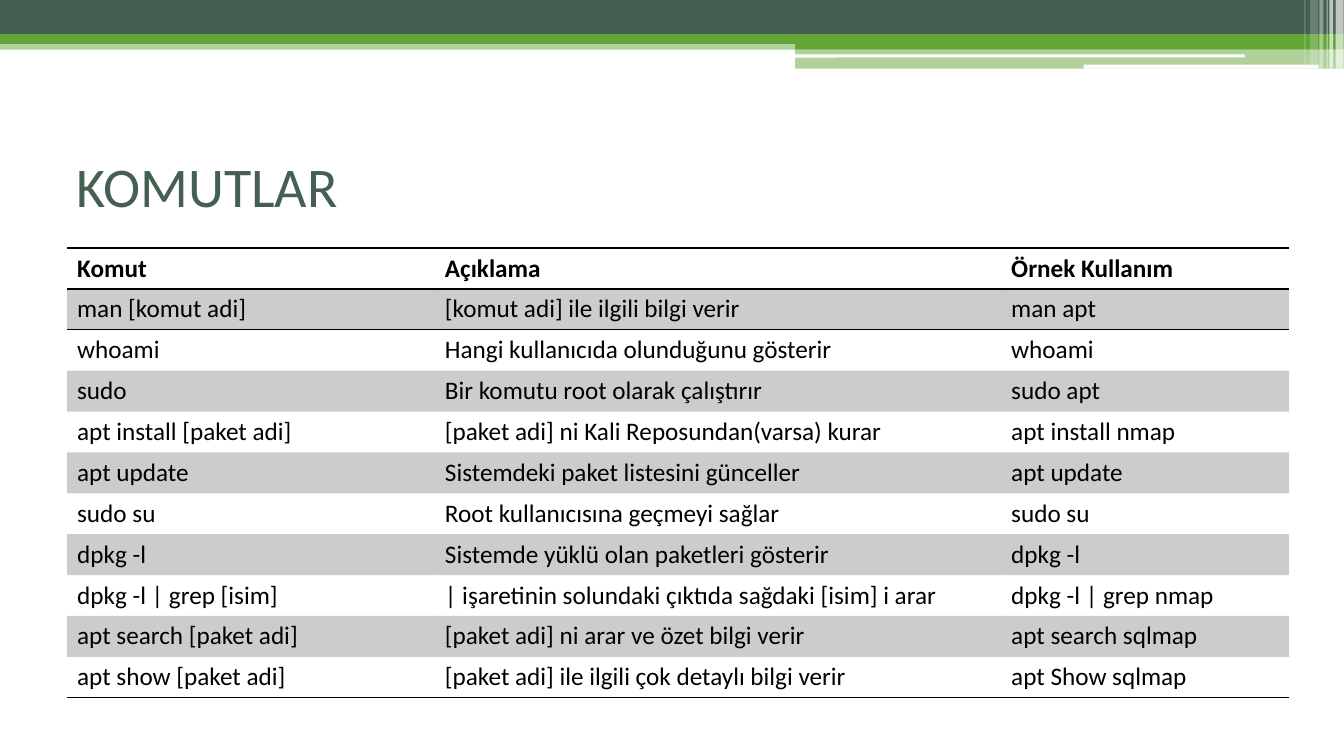
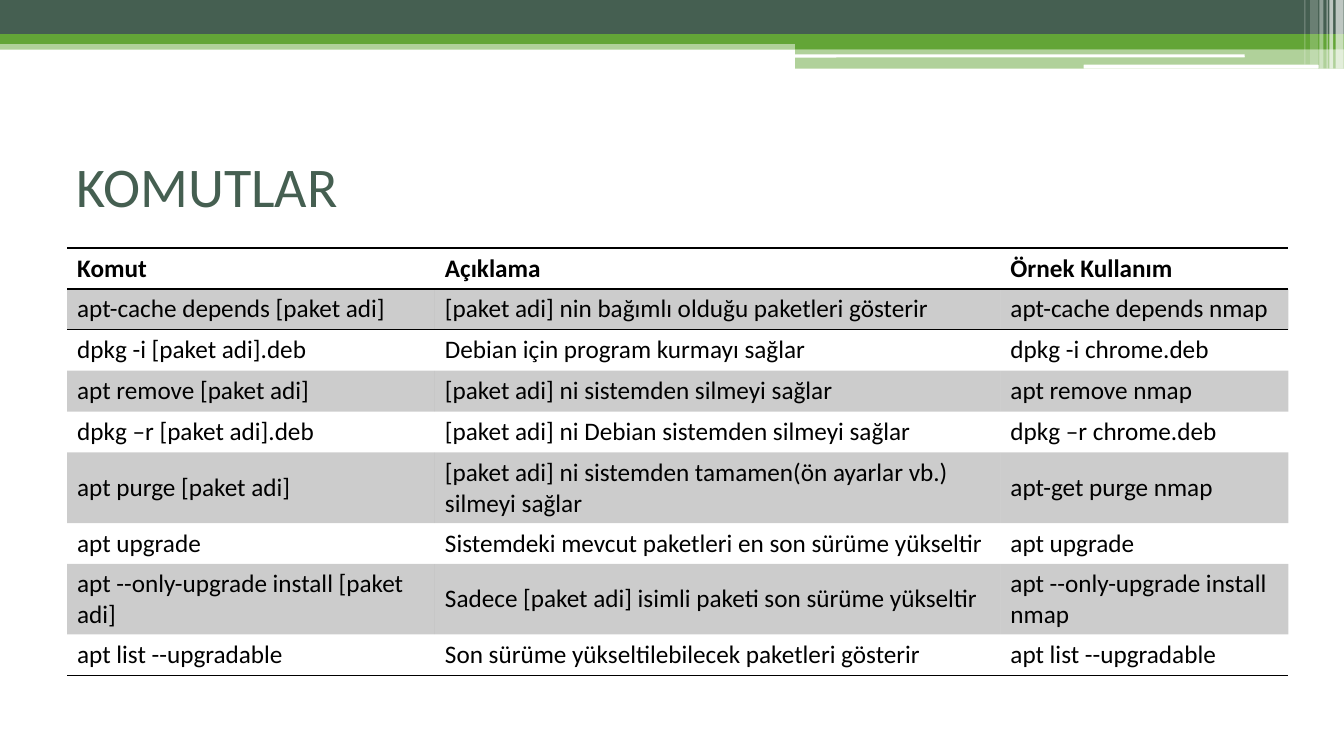
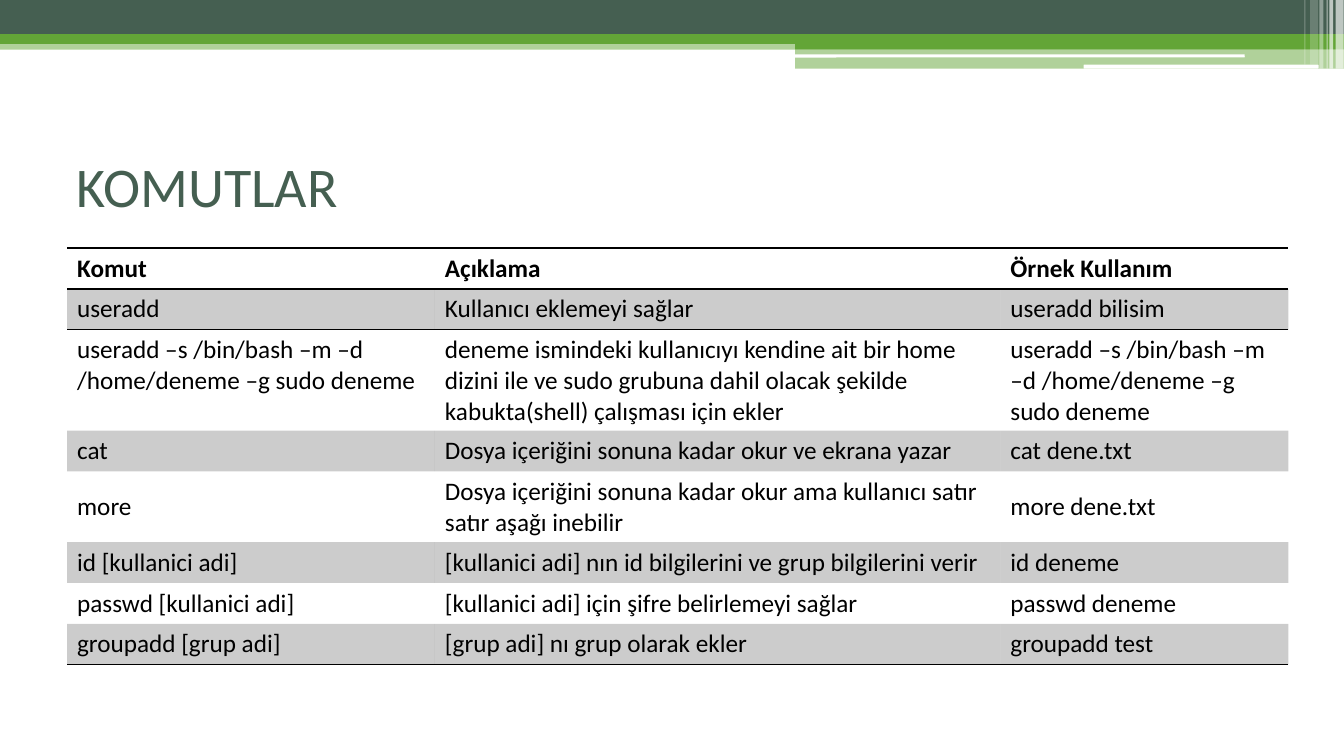
from dataclasses import dataclass
from typing import Any

from lxml import etree
from pptx import Presentation, util as u
from pptx.dml.color import RGBColor
from pptx.enum import shapes, text
from pptx.oxml import ns


@dataclass(frozen=True)
class Theme:
    dark: str = "455F51"
    green: str = "63A537"
    white: str = "FFFFFF"
    black: str = "000000"
    font: str = "Calibri"
    title_size: int = 40
    body_size: int = 18
    band_alpha: int = 20
    rule_width: float = 1


@dataclass(frozen=True)
class Band:
    left: float
    top: float
    width: float
    height: float
    colour: str
    alpha: int = 100
    rounded: bool = False


@dataclass(frozen=True)
class Row:
    command: str
    meaning: str
    example: str
    middle: bool = False


@dataclass(frozen=True)
class CommandSlide:
    meaning_width: float
    rows: list[Row]


T = Theme()
SLIDE_W, SLIDE_H = 33.87, 19.05
LEFT = 1.69
TITLE = "KOMUTLAR"
TITLE_TOP, TITLE_W, TITLE_H = 3.18, 30.48, 2.96
TABLE_TOP, ROW_H = 6.25, 1.03
COMMAND_W, EXAMPLE_W = 9.27, 7.26
NO_STYLE = "{2D5ABB26-0587-4C30-8999-92F81FD0307C}"
RIGHT_LEFT = 20.04
RIGHT_W = SLIDE_W - RIGHT_LEFT

BANDS = [
    Band(0, 1.02, SLIDE_W, 0.23, T.green, 50),
    Band(0, 0, SLIDE_W, 0.86, T.dark),
    Band(0, 0.86, SLIDE_W, 0.25, T.green),
    Band(RIGHT_LEFT, 0.99, RIGHT_W, 0.25, T.green),
    Band(RIGHT_LEFT, 1.22, RIGHT_W, 0.51, T.green, 50),
    Band(20.02, 1.37, 11.35, 0.08, T.white, rounded=True),
    Band(27.31, 1.63, 5.92, 0.1, T.white, rounded=True),
    Band(33.66, 0, 0.2, 1.73, T.white, 65),
    Band(33.5, 0, 0.1, 1.73, T.white, 65),
    Band(33.43, 0, 0.03, 1.73, T.white, 60),
    Band(33.25, 0, 0.1, 1.73, T.white, 40),
    Band(33.02, 0, 0.2, 1.63, T.white, 20),
    Band(32.87, 0, 0.03, 1.63, T.white, 30),
]

HEADER = Row("Komut", "Açıklama", "Örnek Kullanım")

SLIDES = [
    CommandSlide(14.27, [
        Row("man [komut adi]", "[komut adi] ile ilgili bilgi verir", "man apt"),
        Row("whoami", "Hangi kullanıcıda olunduğunu gösterir", "whoami"),
        Row("sudo", "Bir komutu root olarak çalıştırır", "sudo apt"),
        Row("apt install [paket adi]", "[paket adi] ni Kali Reposundan(varsa) kurar",
            "apt install nmap"),
        Row("apt update", "Sistemdeki paket listesini günceller", "apt update"),
        Row("sudo su", "Root kullanıcısına geçmeyi sağlar", "sudo su"),
        Row("dpkg -l", "Sistemde yüklü olan paketleri gösterir", "dpkg -l"),
        Row("dpkg -l | grep [isim]",
            "| işaretinin solundaki çıktıda sağdaki [isim] i arar",
            "dpkg -l | grep nmap"),
        Row("apt search [paket adi]", "[paket adi] ni arar ve özet bilgi verir",
            "apt search sqlmap"),
        Row("apt show [paket adi]", "[paket adi] ile ilgili çok detaylı bilgi verir",
            "apt Show sqlmap"),
    ]),
    CommandSlide(14.25, [
        Row("apt-cache depends [paket adi]",
            "[paket adi] nin bağımlı olduğu paketleri gösterir",
            "apt-cache depends nmap"),
        Row("dpkg -i [paket adi].deb", "Debian için program kurmayı sağlar",
            "dpkg -i chrome.deb"),
        Row("apt remove [paket adi]", "[paket adi] ni sistemden silmeyi sağlar",
            "apt remove nmap"),
        Row("dpkg –r [paket adi].deb", "[paket adi] ni Debian sistemden silmeyi sağlar",
            "dpkg –r chrome.deb"),
        Row("apt purge [paket adi]",
            "[paket adi] ni sistemden tamamen(ön ayarlar vb.) silmeyi sağlar",
            "apt-get purge nmap", middle=True),
        Row("apt upgrade", "Sistemdeki mevcut paketleri en son sürüme yükseltir",
            "apt upgrade"),
        Row("apt --only-upgrade install [paket adi]",
            "Sadece [paket adi] isimli paketi son sürüme yükseltir",
            "apt --only-upgrade install nmap", middle=True),
        Row("apt list --upgradable", "Son sürüme yükseltilebilecek paketleri gösterir",
            "apt list --upgradable"),
    ]),
    CommandSlide(14.25, [
        Row("useradd", "Kullanıcı eklemeyi sağlar", "useradd bilisim"),
        Row("useradd –s /bin/bash –m –d /home/deneme –g sudo deneme",
            "deneme ismindeki kullanıcıyı kendine ait bir home dizini ile ve sudo "
            "grubuna dahil olacak şekilde kabukta(shell) çalışması için ekler",
            "useradd –s /bin/bash –m –d /home/deneme –g sudo deneme"),
        Row("cat", "Dosya içeriğini sonuna kadar okur ve ekrana yazar", "cat dene.txt"),
        Row("more",
            "Dosya içeriğini sonuna kadar okur ama kullanıcı satır satır aşağı inebilir",
            "more dene.txt", middle=True),
        Row("id [kullanici adi]",
            "[kullanici adi] nın id bilgilerini ve grup bilgilerini verir", "id deneme"),
        Row("passwd [kullanici adi]", "[kullanici adi] için şifre belirlemeyi sağlar",
            "passwd deneme"),
        Row("groupadd [grup adi]", "[grup adi] nı grup olarak ekler", "groupadd test"),
    ]),
]


def set_all(obj: Any, values: dict[str, Any]) -> None:
    for name, value in values.items():
        setattr(obj, name, value)


def paint(fill: Any, props: Any, colour: str, alpha: int) -> None:
    fill.solid()
    fill.fore_color.rgb = RGBColor.from_string(colour)
    if alpha < 100:
        clr = list(props.iter(ns.qn("a:srgbClr")))[-1]
        etree.SubElement(clr, ns.qn("a:alpha"), val=str(alpha * 1000))


def write(tf: Any, words: str, size: int, colour: str, bold: bool = False) -> None:
    r = tf.paragraphs[0].add_run()
    r.text = words
    set_all(r.font, {"name": T.font, "size": u.Pt(size), "bold": bold})
    r.font.color.rgb = RGBColor.from_string(colour)


def draw_band(s: Any, band: Band) -> None:
    kind = shapes.MSO_SHAPE.ROUNDED_RECTANGLE if band.rounded else shapes.MSO_SHAPE.RECTANGLE
    sp = s.shapes.add_shape(kind, u.Cm(band.left), u.Cm(band.top),
                            u.Cm(band.width), u.Cm(band.height))
    sp.shadow.inherit = False
    paint(sp.fill, sp._element.spPr, band.colour, band.alpha)
    sp.line.fill.background()


def draw_title(s: Any) -> None:
    sp = s.shapes.add_textbox(u.Cm(LEFT), u.Cm(TITLE_TOP), u.Cm(TITLE_W), u.Cm(TITLE_H))
    set_all(sp.text_frame, {"word_wrap": True, "vertical_anchor": text.MSO_ANCHOR.MIDDLE})
    write(sp.text_frame, TITLE, T.title_size, T.dark)


def draw_rule(props: Any, edge: str) -> None:
    ln = etree.SubElement(props, ns.qn(f"a:{edge}"), w=str(u.Pt(T.rule_width)))
    solid = etree.SubElement(ln, ns.qn("a:solidFill"))
    etree.SubElement(solid, ns.qn("a:srgbClr"), val=T.black)


def draw_table(s: Any, content: CommandSlide) -> None:
    rows = [HEADER, *content.rows]
    widths = [COMMAND_W, content.meaning_width, EXAMPLE_W]
    frame = s.shapes.add_table(len(rows), len(widths), u.Cm(LEFT), u.Cm(TABLE_TOP),
                               u.Cm(sum(widths)), u.Cm(ROW_H * len(rows)))
    table = frame.table
    set_all(table, {"first_row": False, "horz_banding": False})
    for style in frame._element.iter(ns.qn("a:tableStyleId")):
        style.text = NO_STYLE
    for column, width in zip(table.columns, widths):
        column.width = u.Cm(width)
    for i, row in enumerate(rows):
        table.rows[i].height = u.Cm(ROW_H)
        edges = {"lnT": i <= 1, "lnB": i in (0, len(rows) - 1)}
        for j, words in enumerate((row.command, row.meaning, row.example)):
            cell = table.cell(i, j)
            props = cell._tc.get_or_add_tcPr()
            for edge, shown in edges.items():
                if shown:
                    draw_rule(props, edge)
            if i % 2:
                paint(cell.fill, props, T.black, T.band_alpha)
            else:
                cell.fill.background()
            if row.middle:
                cell.vertical_anchor = text.MSO_ANCHOR.MIDDLE
            write(cell.text_frame, words, T.body_size, T.black, bold=i == 0)


def main() -> None:
    prs = Presentation()
    set_all(prs, {"slide_width": u.Cm(SLIDE_W), "slide_height": u.Cm(SLIDE_H)})
    for content in SLIDES:
        s = prs.slides.add_slide(prs.slide_layouts[6])
        for band in BANDS:
            draw_band(s, band)
        draw_title(s)
        draw_table(s, content)
    prs.save("out.pptx")


if __name__ == "__main__":
    main()
